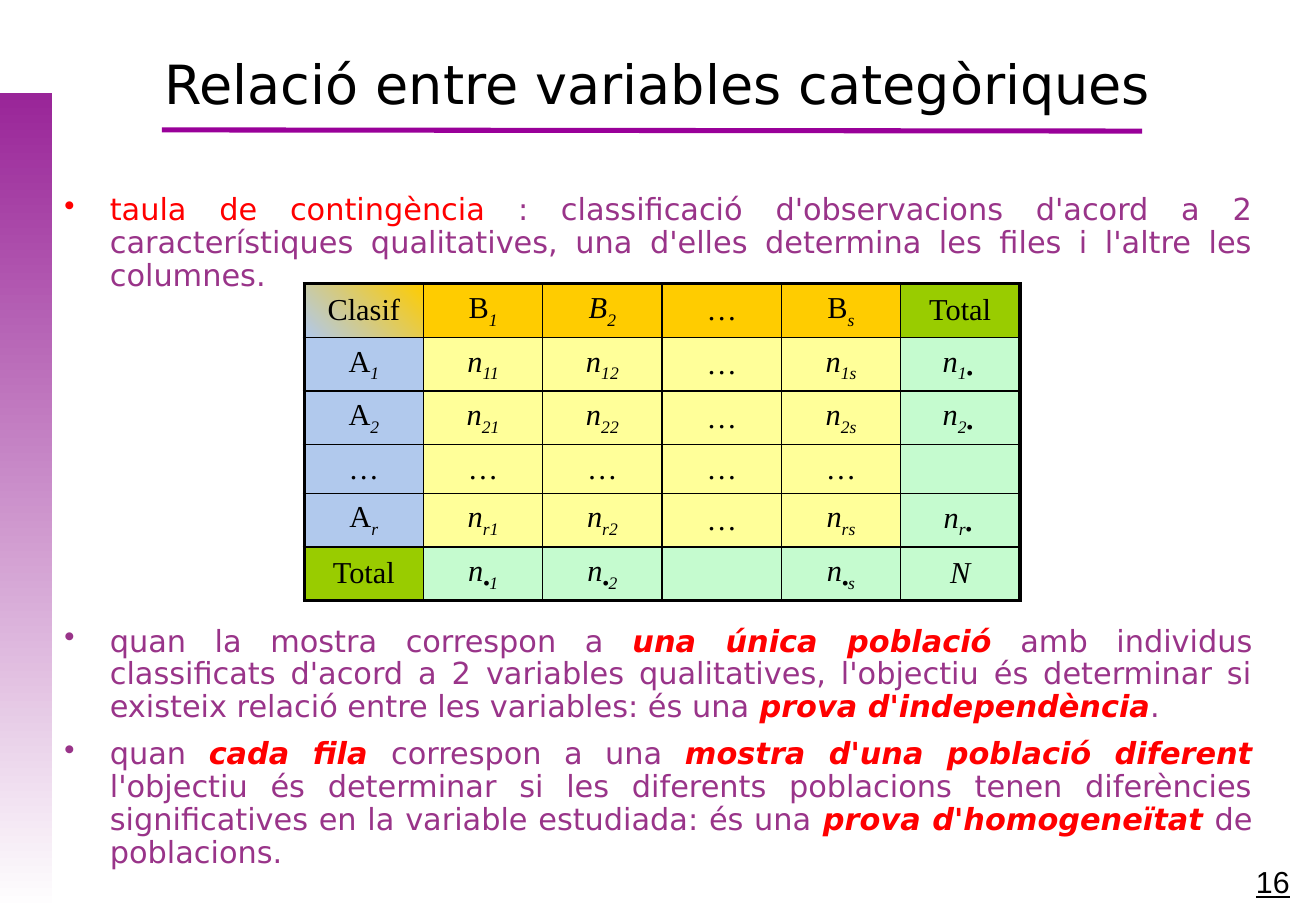
from itertools import groupby

from lxml.etree import SubElement
from pptx import Presentation
from pptx.dml.color import RGBColor
from pptx.enum.shapes import MSO_CONNECTOR as Connector, MSO_SHAPE as Shape
from pptx.enum.text import MSO_ANCHOR as Anchor, MSO_AUTO_SIZE as AutoSize, PP_ALIGN as Align
from pptx.oxml import parse_xml
from pptx.oxml.ns import nsdecls, qn
from pptx.util import Pt

PURPLE, RED, BLACK = "993489", "FF0000", "000000"
BLUE, GOLD, GREEN, YELLOW, MINT = "B1C9ED", "FFCC00", "99CC00", "FFFF99", "C5FBCF"
SANS, SERIF, ARIAL = "DejaVu Sans", "Times New Roman", "Arial"

POINTS = [
    (0, [("taula de contingència", "term"),
         (" : classificació d'observacions d'acord a 2 característiques qualitatives, "
          "una d'elles determina les files i l'altre les columnes.", "plain")]),
    (197.5, [("quan la mostra correspon a ", "plain"), ("una única població", "key"),
             (" amb individus classificats d'acord a 2 variables qualitatives, l'objectiu "
              "és determinar si existeix relació entre les variables: és una ", "plain"),
             ("prova d'independència", "key"), (".", "plain")]),
    (8.4, [("quan ", "plain"), ("cada fila ", "key"), ("correspon a una ", "plain"),
           ("mostra d'una població diferent", "key"),
           (" l'objectiu és determinar si les diferents poblacions tenen diferències "
            "significatives en la variable estudiada: és una ", "plain"),
           ("prova d'homogeneïtat ", "key"), ("de poblacions.", "plain")]),
]
COUNTS = [
    ["Clasif", "B_1", "/B_2", "…", "B_s", "Total"],
    ["A_1", "/n_11", "/n_12", "…", "/n_1s", "/n_1• "],
    ["A_2", "/n_21", "/n_22", "…", "/n_2s", "/n_2• "],
    ["…", "…", "…", "…", "…", ""],
    ["A_r", "/n_r1", "/n_r2", "…", "/n_rs", "/n_r• "],
    ["Total", "/n_•1", "/n_•2", "", "/n_•s", "/N"],
]
ROW_HEIGHTS = [30.2, 30.2, 30.2, 27.3, 30.2, 30.2]


def color(code):
    """Turn a hex string into a colour."""
    return RGBColor.from_string(code)


def set_font(font, name, size, code):
    """Set the face, size and colour of a font."""
    font.name, font.size = name, Pt(size)
    font.color.rgb = color(code)


def fill_gradient(fill, start, end, angle):
    """Apply a two-colour linear gradient."""
    fill.gradient()
    fill.gradient_angle = angle
    for stop, code in zip(fill.gradient_stops, (start, end)):
        stop.color.rgb = color(code)


def add_side_band(page, left, top, width, height):
    """Draw the fading band on the left edge."""
    band = page.shapes.add_shape(Shape.RECTANGLE, Pt(left), Pt(top), Pt(width), Pt(height))
    band.shadow.inherit = False
    band.line.fill.background()
    fill_gradient(band.fill, "992598", "FFFFFF", 270)


def add_heading(page, left, top, width, height):
    """Place the title and the rule beneath it."""
    title = page.shapes.title
    title.left, title.top, title.width, title.height = Pt(left), Pt(top), Pt(width), Pt(height)
    frame = title.text_frame
    frame.text = "Relació entre variables categòriques"
    frame.auto_size, frame.vertical_anchor = AutoSize.NONE, Anchor.MIDDLE
    para = frame.paragraphs[0]
    para.alignment = Align.CENTER
    set_font(para.font, SANS, 32, BLACK)
    bottom = top + height
    rule = page.shapes.add_connector(Connector.STRAIGHT, Pt(left + 57), Pt(bottom),
                                     Pt(left + 638), Pt(bottom + 0.7))
    rule.line.width = Pt(3)
    rule.line.color.rgb = color("990099")
    SubElement(rule._element.spPr, qn("a:effectLst"))


def add_points(page, left, top, width, height):
    """Write the bulleted text, leaving room for the table."""
    frame = page.shapes.add_textbox(Pt(left), Pt(top), Pt(width), Pt(height)).text_frame
    frame.word_wrap = True
    for index, (gap, spans) in enumerate(POINTS):
        para = frame.add_paragraph() if index else frame.paragraphs[0]
        para.alignment, para.line_spacing = Align.JUSTIFY, 0.9
        para.space_before = Pt(gap)
        set_font(para.font, SANS, 18, PURPLE)
        settings = para._p.get_or_add_pPr()
        settings.set("marL", str(Pt(27)))
        settings.set("indent", str(-Pt(27)))
        bullet = parse_xml(f'<a:buChar {nsdecls("a")} char="•"/>')
        settings.find(qn("a:defRPr")).addprevious(bullet)
        for text, style in spans:
            span = para.add_run()
            span.text = text
            if style != "plain":
                span.font.color.rgb = color(RED)
            if style == "key":
                span.font.bold = span.font.italic = True


def write_count(cell, text):
    """Write a label whose part after the underscore is an italic subscript."""
    cell.vertical_anchor = Anchor.MIDDLE
    para = cell.text_frame.paragraphs[0]
    para.alignment = Align.CENTER
    set_font(para.font, SERIF, 18, BLACK)
    base, _, subscript = text.partition("_")
    if base:
        span = para.add_run()
        span.text = base.lstrip("/")
        span.font.italic = base.startswith("/")
    for is_dot, letters in groupby(subscript, lambda letter: letter in "• "):
        span = para.add_run()
        span.text = "".join(letters)
        span.font.italic = True
        if is_dot:
            span.font.name = ARIAL
        span._r.get_or_add_rPr().set("baseline", "-25000")


def set_borders(cell, row, column, last):
    """Draw thin inner borders and thick outer ones."""
    outer = {"L": column == 0, "R": column == last, "T": row == 0, "B": row == last}
    for index, (side, thick) in enumerate(outer.items()):
        width = Pt(2.25 if thick else 1)
        cell._tc.get_or_add_tcPr().insert(index, parse_xml(
            f'<a:ln{side} {nsdecls("a")} w="{width}"><a:solidFill>'
            f'<a:srgbClr val="{BLACK}"/></a:solidFill></a:ln{side}>'))


def cell_color(row, column, last):
    """Choose the fill of a cell from its place in the table."""
    if (row, column) in ((0, last), (last, 0)):
        return GREEN
    if last in (row, column):
        return MINT
    if row == 0:
        return GOLD
    return BLUE if column == 0 else YELLOW


def add_contingency_table(page, left, top, width, height):
    """Build the contingency table."""
    size = len(COUNTS)
    table = page.shapes.add_table(size, size, Pt(left), Pt(top), Pt(width), Pt(height)).table
    table.first_row = table.horz_banding = False
    for row, labels in enumerate(COUNTS):
        table.rows[row].height = Pt(ROW_HEIGHTS[row])
        table.columns[row].width = Pt(width / size)
        for column, text in enumerate(labels):
            cell = table.cell(row, column)
            write_count(cell, text)
            if row == column == 0:
                fill_gradient(cell.fill, BLUE, GOLD, 45)
            else:
                cell.fill.solid()
                cell.fill.fore_color.rgb = color(cell_color(row, column, size - 1))
            set_borders(cell, row, column, size - 1)


def add_page_number(page, left, top, width, height):
    """Write the underlined page number."""
    frame = page.shapes.add_textbox(Pt(left), Pt(top), Pt(width), Pt(height)).text_frame
    frame.word_wrap = True
    para = frame.paragraphs[0]
    para.add_run().text = "16"
    set_font(para.font, ARIAL, 18, BLACK)
    para.font.underline = True


def main():
    """Build the slide and save the deck."""
    deck = Presentation()
    deck.slide_width, deck.slide_height = Pt(780), Pt(540)
    page = deck.slides.add_slide(deck.slide_layouts[5])
    add_side_band(page, 0, 55, 31, 485)
    add_heading(page, 39, 21.6, 702, 55.4)
    add_points(page, 31, 111.6, 718.5, 396.7)
    add_contingency_table(page, 180.3, 168.2, 424.2, sum(ROW_HEIGHTS))
    add_page_number(page, 737.3, 508.3, 39.6, 26.6)
    deck.save("out.pptx")


if __name__ == "__main__":
    main()
